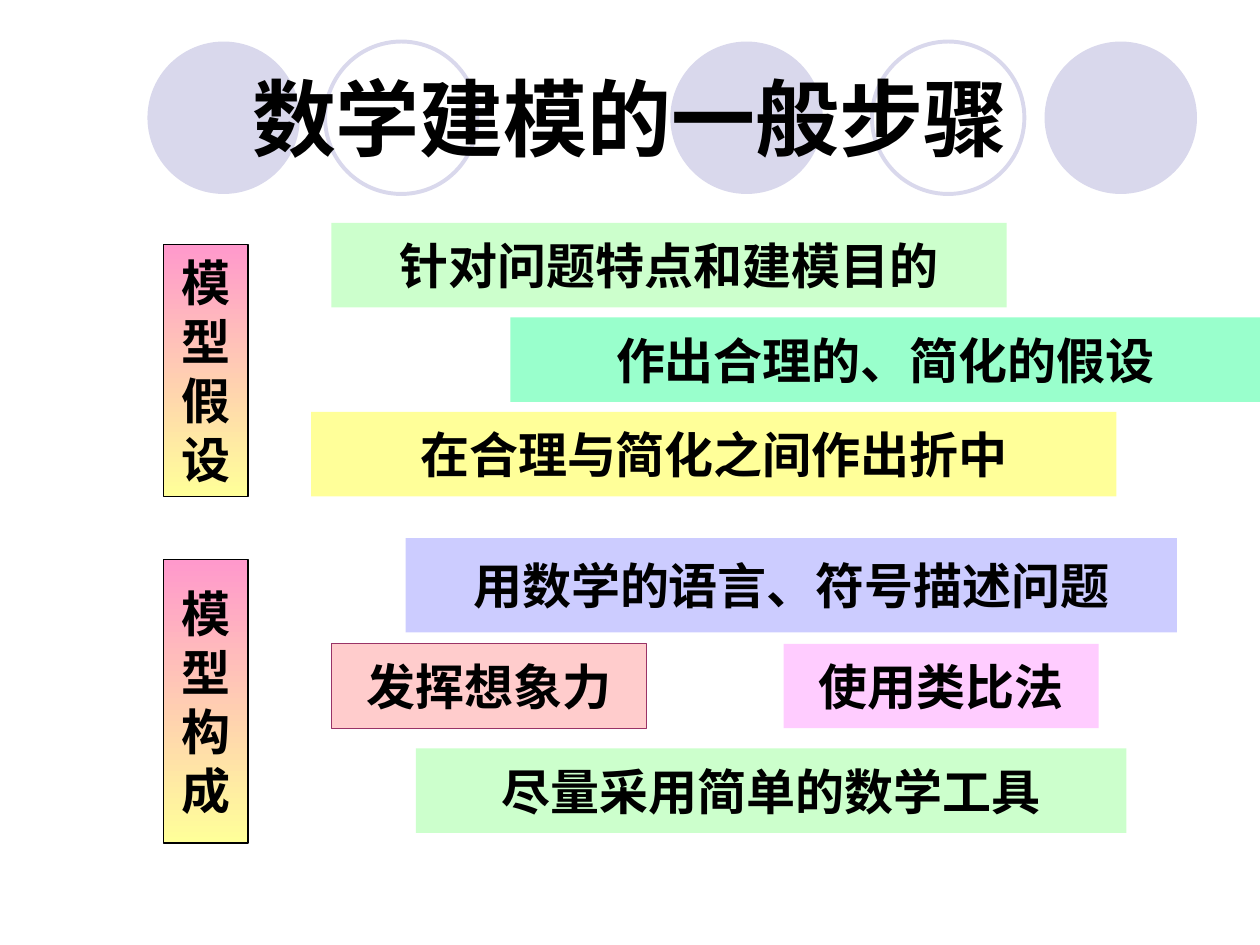
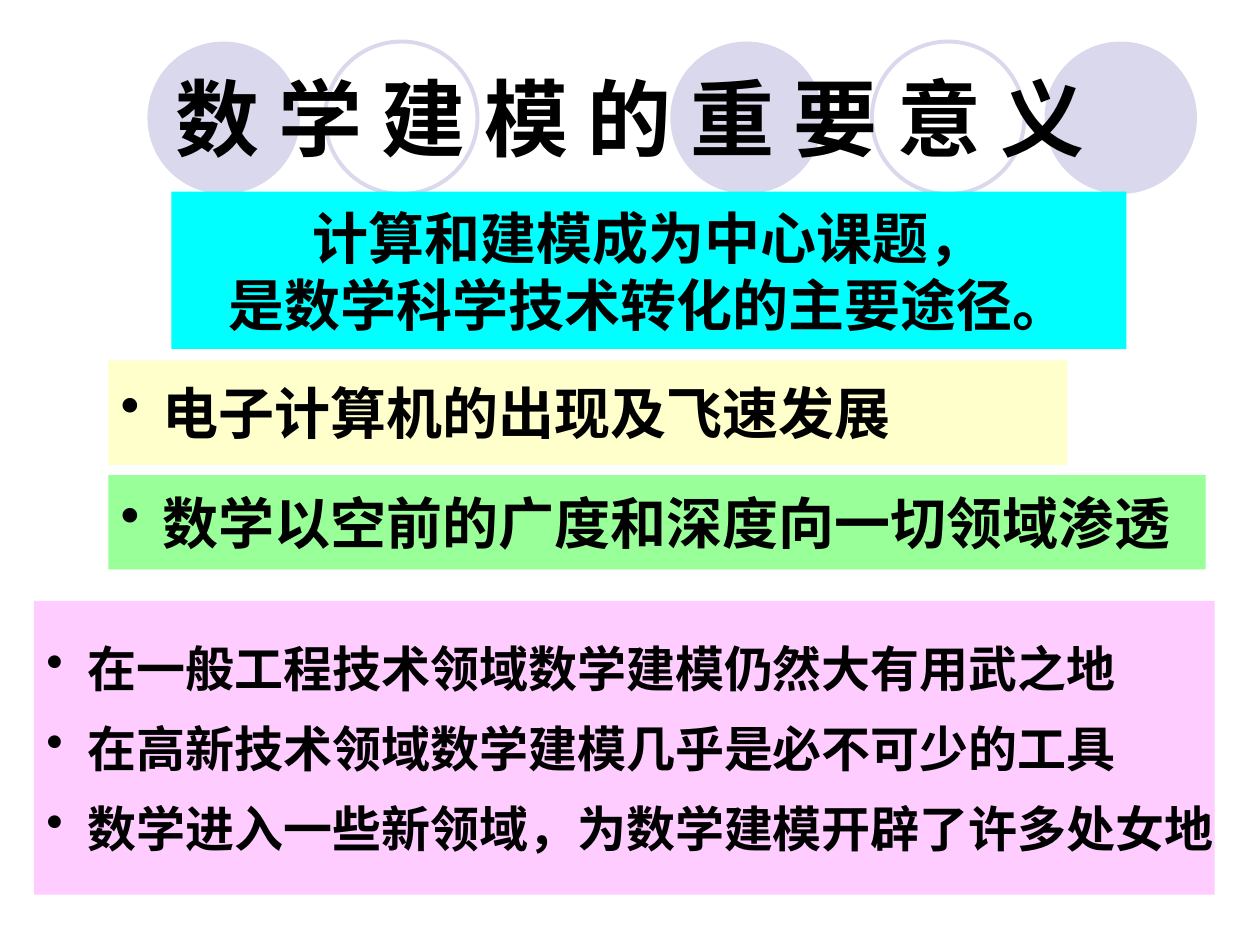
"""Build two slides on the steps and the meaning of mathematical modelling."""
from dataclasses import dataclass

from lxml import etree
from pptx import Presentation
from pptx.dml.color import RGBColor
from pptx.enum import shapes, text
from pptx.oxml import ns
from pptx.util import Inches, Pt


@dataclass(frozen=True)
class Theme:
    """Colours, fonts and type sizes of the deck."""
    ink: str = "000000"
    circle: str = "D9D8EC"
    label_top: str = "FF99CC"
    yellow: str = "FFFF99"
    mint: str = "CCFFCC"
    aqua: str = "99FFCC"
    lavender: str = "CCCCFF"
    rose: str = "FFCCCC"
    plum: str = "993366"
    pink: str = "FFCCFF"
    cyan: str = "00FFFF"
    cream: str = "FFFFCC"
    green: str = "99FF99"
    title_font: str = "Noto Sans CJK SC"
    body_font: str = "Times New Roman"
    asian_font: str = "Noto Sans CJK SC"
    title_size: int = 48
    lead_size: int = 32
    body_size: int = 28
    hairline: float = 0.75
    ring: float = 2.25


THEME = Theme()
CIRCLE_SIZE = 1.21
CIRCLES = [(1.17, True), (2.58, False), (5.32, True), (6.92, False), (8.29, True)]


def rgb(code):
    """Turn a hex code into a colour."""
    return RGBColor.from_string(code)


def add_preset(page, kind, place, fill=None, line=None, weight=THEME.hairline):
    """Add a preset shape without shadow; no fill or line unless given."""
    shape = page.shapes.add_shape(kind, *map(Inches, place))
    shape.shadow.inherit = False
    if fill:
        shape.fill.solid()
        shape.fill.fore_color.rgb = rgb(fill)
    else:
        shape.fill.background()
    if line:
        shape.line.color.rgb = rgb(line)
        shape.line.width = Pt(weight)
    else:
        shape.line.fill.background()
    return shape


def format_text(frame, size, font, align):
    """Give every paragraph of a frame the bold black style."""
    frame.vertical_anchor = text.MSO_ANCHOR.MIDDLE
    for para in frame.paragraphs:
        para.alignment = align
        for span in para.runs:
            span.font.size = Pt(size)
            span.font.bold = True
            span.font.name = font
            span.font.color.rgb = rgb(THEME.ink)
            asian = etree.SubElement(span.font._element, ns.qn("a:ea"))
            asian.set("typeface", THEME.asian_font)


def add_band(page, place, words, fill=None, size=THEME.body_size, line=None,
             align=text.PP_ALIGN.CENTER):
    """Add a coloured rectangle with bold text."""
    box = add_preset(page, shapes.MSO_SHAPE.RECTANGLE, place, fill, line)
    box.text_frame.text = words
    box.text_frame.word_wrap = False
    format_text(box.text_frame, size, THEME.body_font, align)
    return box


def add_label(page, top, height, words):
    """Add a vertical step label with a gradient fill."""
    box = add_band(page, (1.3, top, 0.67, height), "\n".join(words), line=THEME.ink)
    box.fill.gradient()
    box.fill.gradient_angle = 270
    for stop, code in zip(box.fill.gradient_stops, (THEME.label_top, THEME.yellow)):
        stop.color.rgb = rgb(code)


def add_bullets(page, place, lines, fill, size, indent=0.33, gap=0):
    """Add a coloured rectangle with a bulleted list."""
    box = add_band(page, place, "\n".join(lines), fill, size, align=text.PP_ALIGN.LEFT)
    for number, para in enumerate(box.text_frame.paragraphs):
        properties = para._p.get_or_add_pPr()
        properties.set("marL", str(Inches(indent)))
        properties.set("indent", str(-Inches(indent)))
        colour = etree.SubElement(properties, ns.qn("a:buClr"))
        etree.SubElement(colour, ns.qn("a:srgbClr")).set("val", THEME.ink)
        etree.SubElement(properties, ns.qn("a:buChar")).set("char", "•")
        if number:
            para.space_before = Pt(gap)


def add_page(deck, words):
    """Add a title-only page with its title in place."""
    page = deck.slides.add_slide(deck.slide_layouts[5])
    title = page.shapes.title
    title.left, title.top, title.width, title.height = map(Inches, (0.5, 0.3, 9, 1.25))
    title.text_frame.text = words
    title.text_frame.auto_size = text.MSO_AUTO_SIZE.NONE
    format_text(title.text_frame, THEME.title_size, THEME.title_font,
                text.PP_ALIGN.CENTER)
    return page


def move_circles_to_layout(page):
    """Draw the row of title circles once, on the layout of the page."""
    tree = page.slide_layout.shapes._spTree
    for number, (left, filled) in enumerate(CIRCLES):
        place = (left, 0.33, CIRCLE_SIZE, CIRCLE_SIZE)
        fill, line = (THEME.circle, None) if filled else (None, THEME.circle)
        circle = add_preset(page, shapes.MSO_SHAPE.OVAL, place, fill, line, THEME.ring)
        circle._element.nvSpPr.cNvPr.set("id", str(100 + number))
        tree.insert(2 + number, circle._element)


def build_steps(deck):
    """Build the page on the steps of modelling."""
    page = add_page(deck, "数学建模的一般步骤")
    move_circles_to_layout(page)
    add_label(page, 1.94, 2, "模型假设")
    add_label(page, 4.44, 2.25, "模型构成")
    for place, words, fill, line in [
        ((2.63, 1.77, 5.36, 0.67), "针对问题特点和建模目的", THEME.mint, None),
        ((4.05, 2.52, 5.95, 0.67), "作出合理的、简化的假设", THEME.aqua, None),
        ((2.47, 3.27, 6.39, 0.67), "在合理与简化之间作出折中", THEME.yellow, None),
        ((3.22, 4.27, 6.12, 0.75), "用数学的语言、符号描述问题", THEME.lavender, None),
        ((2.63, 5.11, 2.5, 0.67), "发挥想象力", THEME.rose, THEME.plum),
        ((6.22, 5.11, 2.5, 0.67), "使用类比法", THEME.pink, None),
        ((3.3, 5.94, 5.64, 0.67), "尽量采用简单的数学工具", THEME.mint, None),
    ]:
        add_band(page, place, words, fill, line=line)


def build_meaning(deck):
    """Build the page on the meaning of modelling."""
    page = add_page(deck, "数 学 建 模 的 重 要 意 义")
    add_bullets(page, (0.86, 2.86, 7.61, 0.83), ["电子计算机的出现及飞速发展"],
                THEME.cream, THEME.lead_size)
    add_bullets(page, (0.86, 3.77, 8.71, 0.75), ["数学以空前的广度和深度向一切领域渗透"],
                THEME.green, THEME.lead_size)
    add_band(page, (1.36, 1.52, 7.58, 1.25),
             "计算和建模成为中心课题，\n是数学科学技术转化的主要途径。",
             THEME.cyan, THEME.lead_size)
    add_bullets(page, (0.27, 4.77, 9.37, 2.33),
                ["在一般工程技术领域数学建模仍然大有用武之地",
                 "在高新技术领域数学建模几乎是必不可少的工具",
                 "数学进入一些新领域，为数学建模开辟了许多处女地"],
                THEME.pink, THEME.body_size, gap=12.2)


def main():
    """Build and save the deck."""
    deck = Presentation()
    deck.slide_width, deck.slide_height = Inches(10), Inches(7.5)
    build_steps(deck)
    build_meaning(deck)
    deck.save("out.pptx")


if __name__ == "__main__":
    main()
